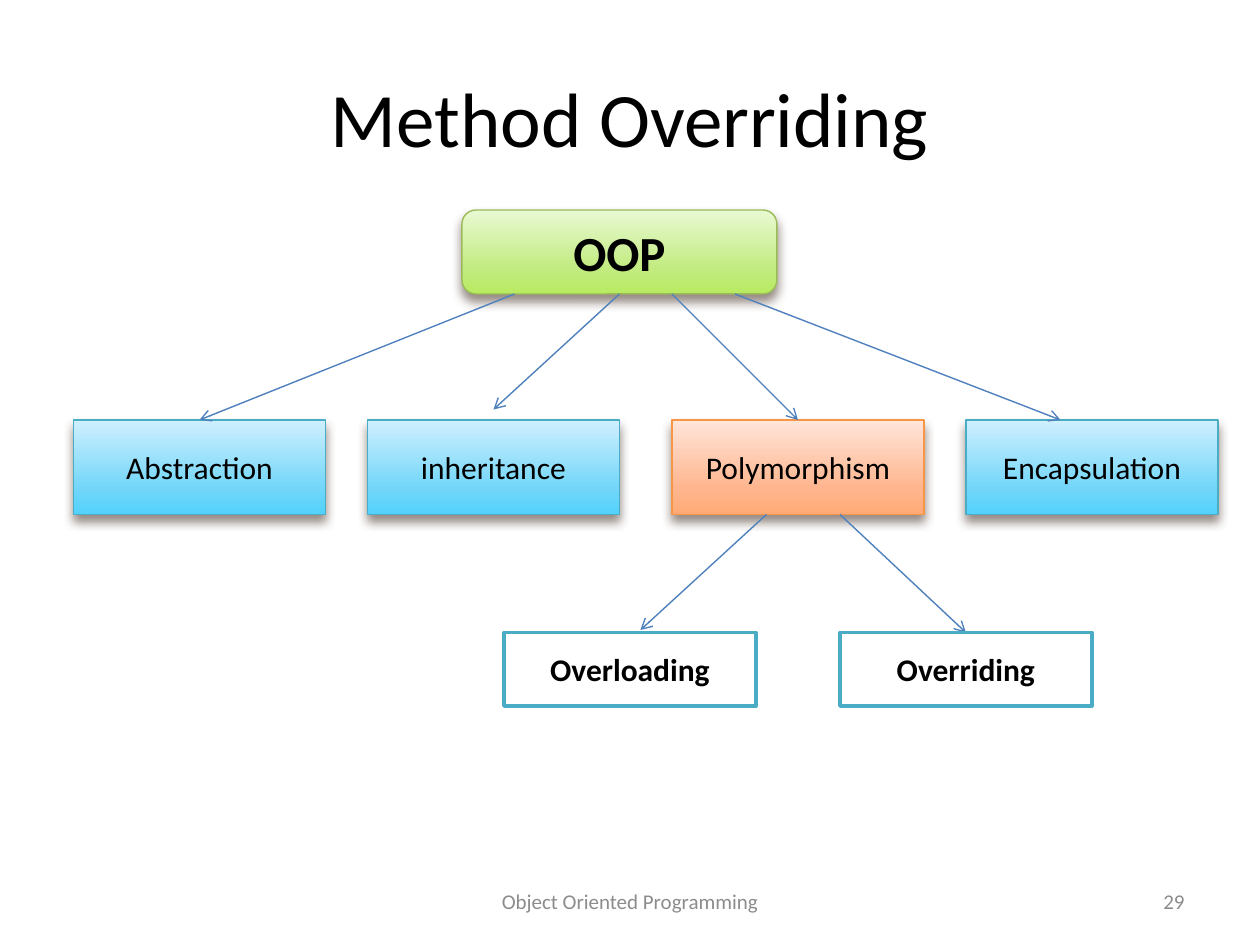
from copy import deepcopy
from dataclasses import dataclass
from typing import Optional

from lxml.etree import SubElement
from pptx import Presentation
from pptx.dml.color import RGBColor
from pptx.enum.shapes import MSO_CONNECTOR as Connector, MSO_SHAPE as Shape
from pptx.enum.text import MSO_ANCHOR as Anchor, PP_ALIGN as Align
from pptx.oxml.ns import qn
from pptx.util import Pt

FONT = "Calibri"
BLACK = RGBColor(0x00, 0x00, 0x00)
WHITE = RGBColor(0xFF, 0xFF, 0xFF)
GREY = RGBColor(0x8C, 0x8C, 0x8C)
TEAL = RGBColor(0x4B, 0xAC, 0xC6)
ORANGE = RGBColor(0xF7, 0x96, 0x46)
GREEN = RGBColor(0x9B, 0xBB, 0x59)
ARROW_BLUE = RGBColor(0x4F, 0x81, 0xBD)
SHADOW_BROWN = RGBColor(0x4E, 0x3B, 0x30)
SKY_BLEND = (RGBColor(0xCF, 0xF0, 0xFE), RGBColor(0x73, 0xD6, 0xF9), RGBColor(0x52, 0xD2, 0xFC))
PEACH_BLEND = (RGBColor(0xFF, 0xE5, 0xDA), RGBColor(0xFF, 0xB6, 0x8F), RGBColor(0xFF, 0xAA, 0x76))
LIME_BLEND = (RGBColor(0xE9, 0xF9, 0xD2), RGBColor(0xC1, 0xEB, 0x7E), RGBColor(0xB8, 0xEB, 0x61))
BLEND_POSITIONS = (0, 0.72, 1)

THIN = 0.79
BOX_WIDTH = 144
ROOT_TOP, ROOT_HEIGHT = 120, 48
PILLAR_TOP, PILLAR_HEIGHT = 240, 54
KIND_TOP, KIND_HEIGHT = 361.5, 42
ROOT_BOTTOM = ROOT_TOP + ROOT_HEIGHT
PILLAR_BOTTOM = PILLAR_TOP + PILLAR_HEIGHT


@dataclass(frozen=True)
class Box:
    """A labelled box; without a blend it is plain white."""
    text: str
    left: float
    top: float
    height: float
    line: RGBColor = TEAL
    blend: Optional[tuple] = SKY_BLEND
    width: float = BOX_WIDTH
    line_width: float = THIN
    size: float = 18
    bold: bool = False
    outline: Shape = Shape.RECTANGLE


@dataclass(frozen=True)
class Arrow:
    """A straight arrow between two points."""
    start_x: float
    start_y: float
    end_x: float
    end_y: float


PILLARS = [
    Box("Abstraction", 42, PILLAR_TOP, PILLAR_HEIGHT),
    Box("inheritance", 210, PILLAR_TOP, PILLAR_HEIGHT),
    Box("Polymorphism", 384, PILLAR_TOP, PILLAR_HEIGHT, ORANGE, PEACH_BLEND),
    Box("Encapsulation", 552, PILLAR_TOP, PILLAR_HEIGHT),
]
ROOT = Box("OOP", 264, ROOT_TOP, ROOT_HEIGHT, GREEN, LIME_BLEND, width=180,
           size=28, bold=True, outline=Shape.ROUNDED_RECTANGLE)
KINDS = [
    Box(text, left, KIND_TOP, KIND_HEIGHT, blend=None, line_width=2, bold=True)
    for text, left in (("Overloading", 288), ("Overriding", 480))
]
ARROWS = [
    Arrow(294, ROOT_BOTTOM, 114, PILLAR_TOP),
    Arrow(384, ROOT_BOTTOM, 456, PILLAR_TOP),
    Arrow(420, ROOT_BOTTOM, 606, PILLAR_TOP),
    Arrow(354, ROOT_BOTTOM, 282, 234),
    Arrow(438, PILLAR_BOTTOM, 366, 360),
    Arrow(480, PILLAR_BOTTOM, 552, KIND_TOP),
]


def write_text(shape, text: str, size: float, color: RGBColor = BLACK,
               bold: bool = False, align: Align = Align.CENTER) -> None:
    """Put one formatted run, vertically centred, in a shape."""
    frame = shape.text_frame
    frame.word_wrap = True
    frame.vertical_anchor = Anchor.MIDDLE
    paragraph = frame.paragraphs[0]
    paragraph.alignment = align
    run = paragraph.add_run()
    run.text = text
    run.font.name = FONT
    run.font.size = Pt(size)
    run.font.bold = bold
    run.font.color.rgb = color


def apply_blend(shape, blend: tuple) -> None:
    """Fill a shape with a three-stop gradient from top to bottom."""
    shape.fill.gradient()
    shape.fill.gradient_angle = 270
    stop_list = shape.fill._xPr.find(qn("a:gradFill")).find(qn("a:gsLst"))
    stop_list.append(deepcopy(stop_list[0]))
    for stop, color, position in zip(shape.fill.gradient_stops, blend, BLEND_POSITIONS):
        stop.color.rgb = color
        stop.position = position


def add_shadow(shape) -> None:
    """Give a shape a soft shadow straight below it."""
    effects = shape._element.spPr.find(qn("a:effectLst"))
    shadow = SubElement(effects, qn("a:outerShdw"), blurRad=str(Pt(6)),
                        dist=str(Pt(4)), dir="5400000", rotWithShape="0")
    color = SubElement(shadow, qn("a:srgbClr"), val=str(SHADOW_BROWN))
    SubElement(color, qn("a:alpha"), val="60000")


def add_box(slide, box: Box) -> None:
    """Draw one labelled box."""
    shape = slide.shapes.add_shape(box.outline, Pt(box.left), Pt(box.top),
                                   Pt(box.width), Pt(box.height))
    shape.shadow.inherit = False
    shape.line.color.rgb = box.line
    shape.line.width = Pt(box.line_width)
    if box.blend:
        apply_blend(shape, box.blend)
        add_shadow(shape)
    else:
        shape.fill.solid()
        shape.fill.fore_color.rgb = WHITE
    write_text(shape, box.text, box.size, bold=box.bold)


def add_arrow(slide, arrow: Arrow) -> None:
    """Draw one arrow with an open head at its end."""
    connector = slide.shapes.add_connector(
        Connector.STRAIGHT, Pt(arrow.start_x), Pt(arrow.start_y),
        Pt(arrow.end_x), Pt(arrow.end_y))
    connector.line.color.rgb = ARROW_BLUE
    connector.line.width = Pt(THIN)
    SubElement(connector.line._get_or_add_ln(), qn("a:tailEnd"), type="arrow")
    SubElement(connector._element.spPr, qn("a:effectLst"))


def add_footer(slide, text: str, left: float, width: float, align: Align) -> None:
    """Add one grey text at the foot of the slide."""
    text_box = slide.shapes.add_textbox(Pt(left), Pt(500.5), Pt(width), Pt(28.75))
    write_text(text_box, text, 12, GREY, align=align)


def build() -> None:
    """Build the slide and save the presentation."""
    presentation = Presentation()
    presentation.slide_width, presentation.slide_height = Pt(720), Pt(540)
    slide = presentation.slides.add_slide(presentation.slide_layouts[5])

    title = slide.shapes.title
    title.left, title.top, title.width, title.height = Pt(36), Pt(21.6), Pt(648), Pt(90)
    write_text(title, "Method Overriding", 44)

    add_footer(slide, "Object Oriented Programming", 246, 228, Align.CENTER)
    add_footer(slide, "29", 516, 168, Align.RIGHT)

    for box in [*PILLARS, ROOT]:
        add_box(slide, box)
    for arrow in ARROWS:
        add_arrow(slide, arrow)
    for box in KINDS:
        add_box(slide, box)

    presentation.save("out.pptx")


build()
